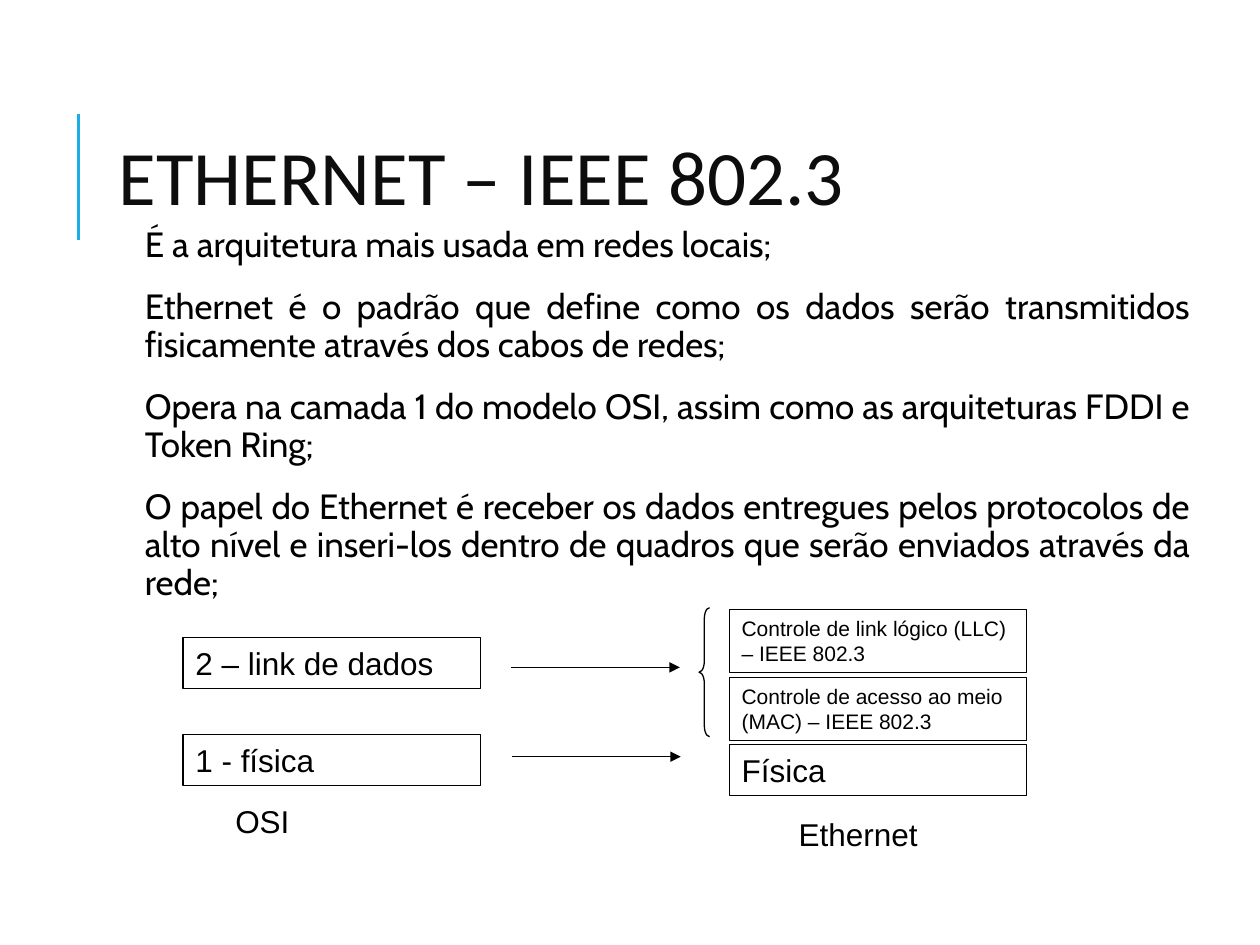
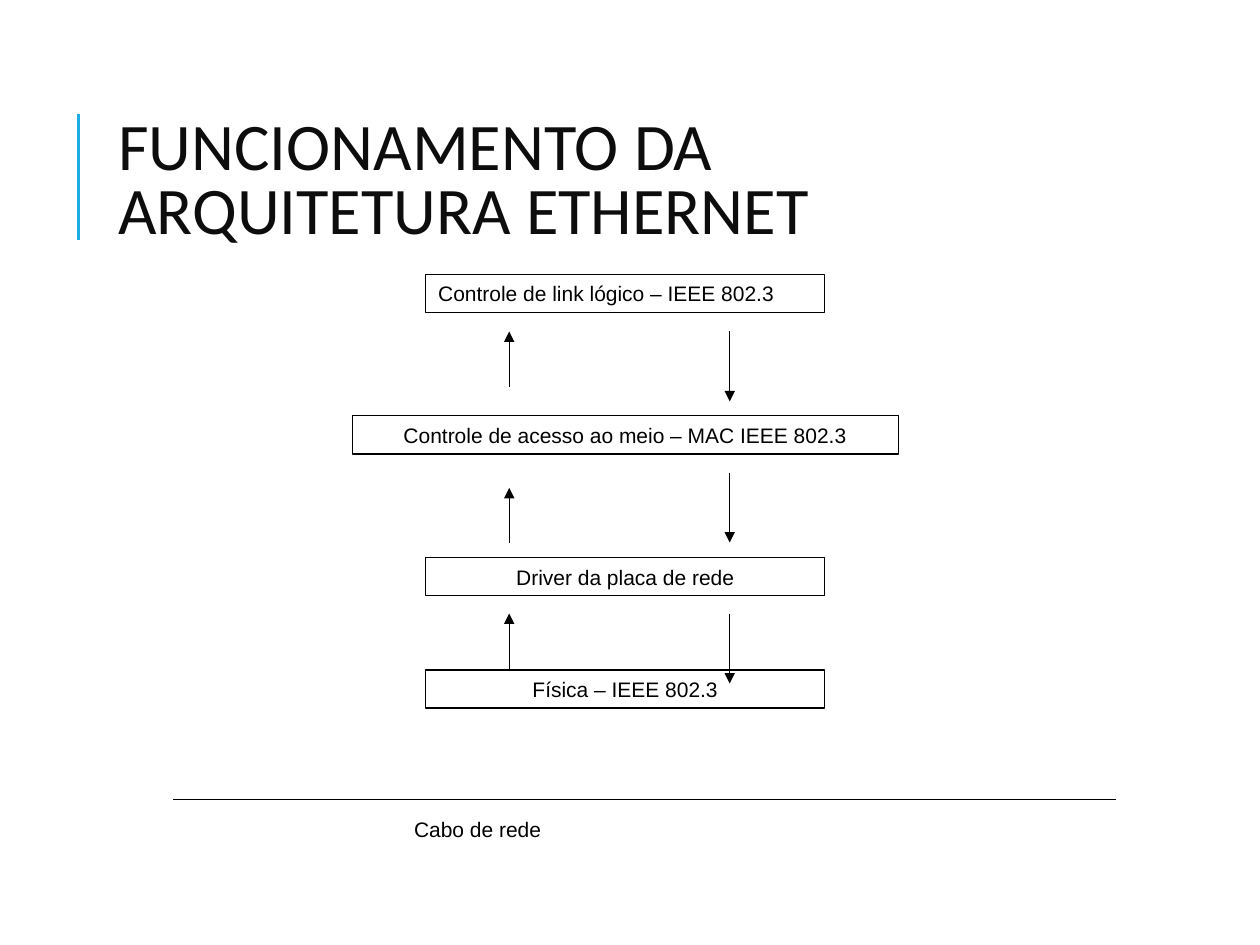
"""Builds two slides on the Ethernet architecture."""
from lxml import etree
from pptx import Presentation
from pptx.dml.color import RGBColor
from pptx.enum.shapes import MSO_CONNECTOR, MSO_SHAPE
from pptx.enum.text import MSO_ANCHOR, MSO_AUTO_SIZE, PP_ALIGN
from pptx.oxml.ns import qn
from pptx.util import Pt

RECT, BRACE = MSO_SHAPE.RECTANGLE, MSO_SHAPE.LEFT_BRACE
STRAIGHT = MSO_CONNECTOR.STRAIGHT
LEFT, MID, JUST = PP_ALIGN.LEFT, PP_ALIGN.CENTER, PP_ALIGN.JUSTIFY
CENTRE, TOP, FIXED = MSO_ANCHOR.MIDDLE, MSO_ANCHOR.TOP, MSO_AUTO_SIZE.NONE
COLORS = {"ink": "000000", "title": "0D0D0D", "accent": "1CADE4"}
HEAD, BODY, LABEL = "Calibri", "Cabin", "Arial"

POINTS = (
    "É a arquitetura mais usada em redes locais;",
    "Ethernet é o padrão que define como os dados serão transmitidos "
    "fisicamente através dos cabos de redes;",
    "Opera na camada 1 do modelo OSI, assim como as arquiteturas FDDI e "
    "Token Ring;",
    "O papel do Ethernet é receber os dados entregues pelos protocolos de "
    "alto nível e inseri-los dentro de quadros que serão enviados através "
    "da rede;",
)


def color(name):
    return RGBColor.from_string(COLORS[name])


def place(shape, x, y, w, h):
    shape.left, shape.top, shape.width, shape.height = map(Pt, (x, y, w, h))


def write(par, text, size, font, ink="ink", align=LEFT):
    par.alignment = align
    run = par.add_run()
    run.text = text
    run.font.size, run.font.name = Pt(size), font
    run.font.color.rgb = color(ink)


def inset(frame, side, edge):
    frame.margin_left = frame.margin_right = Pt(side)
    frame.margin_top = frame.margin_bottom = Pt(edge)


def add_line(slide, start, end, ink="ink", width=0.75, arrow=False):
    line = slide.shapes.add_connector(STRAIGHT, *map(Pt, start + end))
    line.line.color.rgb = color(ink)
    line.line.width = Pt(width)
    if arrow:
        stroke = line.line._get_or_add_ln()
        etree.SubElement(stroke, qn("a:tailEnd"), type="triangle")
    etree.SubElement(line._element.spPr, qn("a:effectLst"))


def add_outline(slide, kind, x, y, w, h):
    shape = slide.shapes.add_shape(kind, *map(Pt, (x, y, w, h)))
    shape.shadow.inherit = False
    shape.fill.background()
    shape.line.color.rgb = color("ink")
    shape.line.width = Pt(0.75)
    return shape


def add_box(slide, text, x, y, w, h, size, align=LEFT):
    frame = add_outline(slide, RECT, x, y, w, h).text_frame
    inset(frame, 7.2, 3.6)
    frame.word_wrap = True
    frame.vertical_anchor = CENTRE
    write(frame.paragraphs[0], text, size, LABEL, align=align)


def add_label(slide, text, x, y, w, h, size):
    frame = slide.shapes.add_textbox(*map(Pt, (x, y, w, h))).text_frame
    inset(frame, 7.2, 3.6)
    frame.word_wrap = False
    write(frame.paragraphs[0], text, size, LABEL)


def add_slide(deck, layout, title, size):
    slide = deck.slides.add_slide(deck.slide_layouts[layout])
    add_line(slide, (45, 137), (45, 65), "accent", 1.5)
    place(slide.shapes.title, 60.5, 46, 574, 118)
    frame = slide.shapes.title.text_frame
    frame.auto_size = FIXED
    frame.vertical_anchor = CENTRE
    par = frame.paragraphs[0]
    par.line_spacing = 0.8
    write(par, title, size, HEAD, "title")
    return slide


def add_list(slide, items):
    body = slide.placeholders[1]
    place(body, 72, 126, 612, 229)
    frame = body.text_frame
    frame.auto_size, frame.vertical_anchor = FIXED, TOP
    inset(frame, 3.6, 3.6)
    for num, item in enumerate(items):
        par = frame.add_paragraph() if num else frame.paragraphs[0]
        par.line_spacing = 0.9
        par.space_before, par.space_after = Pt(12), Pt(2)
        props = par._p.get_or_add_pPr()
        props.set("marL", str(Pt(7.2)))
        props.set("indent", "0")
        etree.SubElement(props, qn("a:buNone"))
        write(par, item, 20, BODY, align=JUST)


def add_model(deck):
    slide = add_slide(deck, 1, "ETHERNET – IEEE 802.3", 44)
    add_list(slide, POINTS)
    wide = 170
    for text, x, y, h, size in (
        ("2 – link de dados", 104.5, 364.3, 29, 18),
        ("1 - física", 104.5, 419.8, 29, 18),
        ("Controle de link lógico (LLC) – IEEE 802.3", 416.7, 348.3, 36, 12),
        ("Controle de acesso ao meio (MAC) – IEEE 802.3", 416.7, 387, 36, 12),
        ("Física", 416.7, 425.5, 29, 18),
    ):
        add_box(slide, text, x, y, wide, h, size)
    brace = add_outline(slide, BRACE, 399.5, 347.3, 6, 73.7)
    brace.adjustments[0] = 1.06
    for x, y in ((292, 381.4), (292.5, 432.4)):
        add_line(slide, (x, y), (x + 96.5, y), arrow=True)
    add_label(slide, "OSI", 127.4, 455, 45.4, 29, 18)
    add_label(slide, "Ethernet", 449.3, 462.2, 87, 29, 18)


def add_flow(deck):
    slide = add_slide(deck, 5, "FUNCIONAMENTO DA ARQUITETURA ETHERNET", 38)
    axis = 357.3
    for text, y, w, align in (
        ("Controle de link lógico – IEEE 802.3", 156.7, 228, LEFT),
        ("Controle de acesso ao meio – MAC IEEE 802.3", 237.6, 312, MID),
        ("Driver da placa de rede", 318.7, 228, MID),
        ("Física – IEEE 802.3", 382.8, 228, MID),
    ):
        add_box(slide, text, axis - w / 2, y, w, 21.8, 12, align)
    for rise, fall in ((189.4, 189.4), (278.8, 270), (350.6, 350.6)):
        add_line(slide, (291, rise + 31.5), (291, rise), arrow=True)
        add_line(slide, (417, fall), (417, fall + 40), arrow=True)
    add_line(slide, (99, 457), (638, 457))
    add_label(slide, "Cabo de rede", 229.5, 463, 87, 21.8, 12)


def main():
    deck = Presentation()
    deck.slide_width, deck.slide_height = Pt(720), Pt(540)
    add_model(deck)
    add_flow(deck)
    deck.save("out.pptx")


if __name__ == "__main__":
    main()
